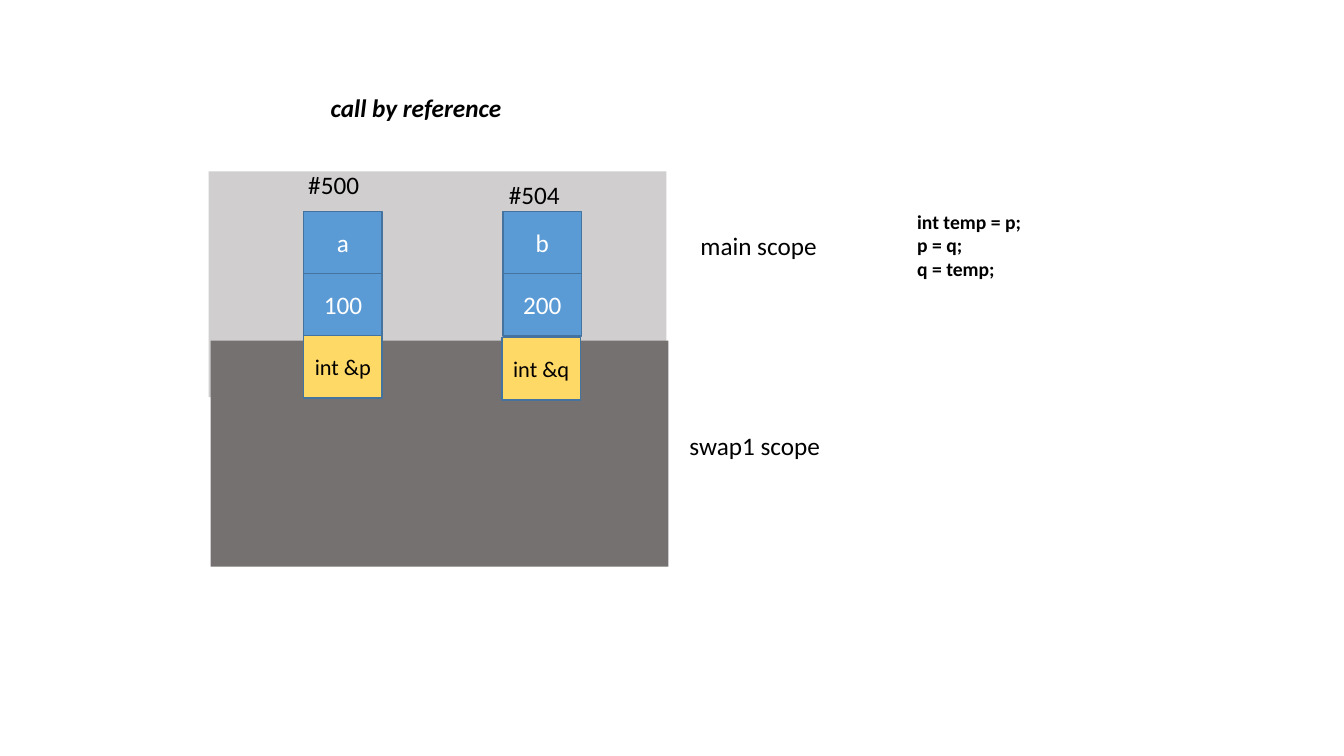
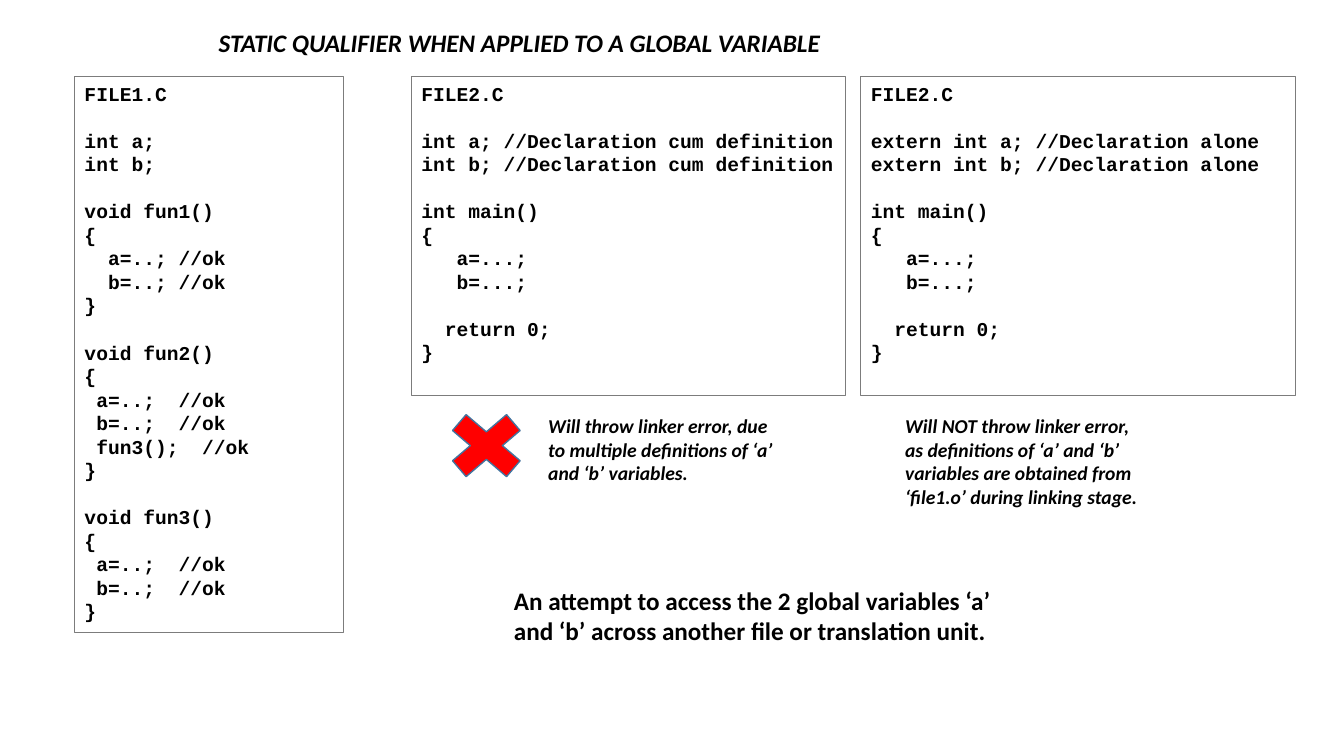
import pptx
import pptx.util
import pptx.dml.color
import pptx.enum.shapes
import pptx.enum.text

Pt = pptx.util.Pt
SHAPE = pptx.enum.shapes.MSO_SHAPE
ALIGN = pptx.enum.text.PP_ALIGN
ANCHOR = pptx.enum.text.MSO_ANCHOR

# Shared look
BLACK, WHITE = "000000", "FFFFFF"
BLUE, OUTLINE, YELLOW = "5B9BD5", "43739E", "FFD966"
LIGHT_GREY, DARK_GREY, CODE_BORDER, RED = "D0CECE", "767171", "7C7C7C", "FF0000"
BODY_FONT, CODE_FONT = "Calibri", "Courier New"
CODE_LINE = 16.8


def write(box, text, size=18, color=BLACK, bold=False, italic=False,
          font=BODY_FONT, align=ALIGN.LEFT, anchor=ANCHOR.TOP, line=None):
    """Write one paragraph per line; an empty line becomes space before the next."""
    frame = box.text_frame
    frame.word_wrap = True
    frame.auto_size = pptx.enum.text.MSO_AUTO_SIZE.NONE
    frame.vertical_anchor = anchor
    frame.margin_left = frame.margin_right = Pt(7.2)
    frame.margin_top = frame.margin_bottom = Pt(3.6)
    para, gap = None, False
    for content in text.split("\n"):
        if not content:
            gap = True
            continue
        para = frame.add_paragraph() if para else frame.paragraphs[0]
        para.alignment = align
        if line:
            para.line_spacing = Pt(line)
        if gap:
            para.space_before = Pt(line or size)
        gap = False
        span = para.add_run()
        span.text = content
        span.font.name, span.font.size = font, Pt(size)
        span.font.bold, span.font.italic = bold, italic
        span.font.color.rgb = pptx.dml.color.RGBColor.from_string(color)


def add_shape(page, kind, left, top, width, height, fill=None, line=None, weight=1):
    shape = page.shapes.add_shape(kind, Pt(left), Pt(top), Pt(width), Pt(height))
    shape.shadow.inherit = False
    for part, color in ((shape.fill, fill), (shape.line.fill, line)):
        if color:
            part.solid()
            part.fore_color.rgb = pptx.dml.color.RGBColor.from_string(color)
        else:
            part.background()
    if line:
        shape.line.width = Pt(weight)
    return shape


deck = pptx.Presentation()
deck.slide_width, deck.slide_height = Pt(960), Pt(540)

# Pages with their titles
pages = []
for text, left, top, width in (
        ("call by reference", 229, 62.6, 248),
        ("STATIC QUALIFIER WHEN APPLIED TO A GLOBAL VARIABLE", 149, 15.8, 535)):
    page = deck.slides.add_slide(deck.slide_layouts[5])
    title = page.shapes.title
    title.left, title.top, title.width, title.height = Pt(left), Pt(top), Pt(width), Pt(29)
    write(title, text, bold=True, italic=True)
    pages.append(page)
reference_page, static_page = pages

# Scope bands
for left, top, color in ((149, 122.4, LIGHT_GREY), (150.5, 243.4, DARK_GREY)):
    add_shape(reference_page, SHAPE.RECTANGLE, left, top, 327, 161.3, color)

# Variables: name, value and the reference bound to them
CELL_WIDTH, CELL_HEIGHT, CELLS_TOP = 56, 44.5, 151
for left, name, value, reference, reference_left, reference_top in (
        (217, "a", "100", "int &p", 217, 239.8),
        (359.3, "b", "200", "int &q", 358.6, 241.2)):
    for text, x, y, fill, size, color in (
            (name, left, CELLS_TOP, BLUE, 18, WHITE),
            (value, left, CELLS_TOP + CELL_HEIGHT, BLUE, 18, WHITE),
            (reference, reference_left, reference_top, YELLOW, 16, BLACK)):
        cell = add_shape(reference_page, SHAPE.RECTANGLE, x, y,
                         CELL_WIDTH, CELL_HEIGHT, fill, OUTLINE)
        write(cell, text, size, color, align=ALIGN.CENTER, anchor=ANCHOR.MIDDLE)

# Code panels
file1 = """FILE1.C

int a;
int b;

void fun1()
{
  a=..; //ok
  b=..; //ok
}

void fun2()
{
 a=..;  //ok
 b=..;  //ok
 fun3();  //ok
}

void fun3()
{
 a=..;  //ok
 b=..;  //ok
}"""
file2 = """FILE2.C

{0}int a; //{1}
{0}int b; //{1}

int main()
{{
   a=...;
   b=...;

  return 0;
}}"""
for left, width, height, code in (
        (53.3, 192.2, 397.4, file1),
        (293.8, 310.3, 227.5, file2.format("", "Declaration cum definition")),
        (614.9, 310.3, 227.5, file2.format("extern ", "Declaration alone"))):
    panel = add_shape(static_page, SHAPE.RECTANGLE, left, 54.7, width, height,
                      line=CODE_BORDER, weight=0.75)
    write(panel, code, 14, bold=True, font=CODE_FONT, line=CODE_LINE)

# Error mark
add_shape(static_page, SHAPE.MATH_MULTIPLY, 310.3, 286.6, 74.2, 63.4, RED, OUTLINE)

# Labels and notes: page, left, top, width, height, size, bold, italic, text
for page, left, top, width, height, size, bold, italic, text in (
        (reference_page, 493.2, 161.3, 104.4, 29, 18, False, False, "main scope"),
        (reference_page, 213.1, 117.4, 56, 29, 18, False, False, "#500"),
        (reference_page, 356.4, 124.6, 56, 29, 18, False, False, "#504"),
        (reference_page, 485.3, 303.8, 154.8, 29, 18, False, False, "swap1 scope"),
        (reference_page, 648, 146.2, 154.8, 58.3, 14, True, False,
         "int temp = p;\np = q;\nq = temp;"),
        (static_page, 384.5, 292.3, 180.7, 58.3, 14, True, True,
         "Will throw linker error, due to multiple definitions of ‘a’ and ‘b’ variables."),
        (static_page, 639.4, 292.3, 180.7, 75, 14, True, True,
         "Will NOT throw linker error, as definitions of ‘a’ and ‘b’ variables are "
         "obtained from ‘file1.o’ during linking stage."),
        (static_page, 360, 414.7, 386.6, 51, 18, True, False,
         "An attempt to access the 2 global variables ‘a’ and ‘b’ across another "
         "file or translation unit.")):
    box = page.shapes.add_textbox(Pt(left), Pt(top), Pt(width), Pt(height))
    write(box, text, size, bold=bold, italic=italic)

deck.save("out.pptx")
